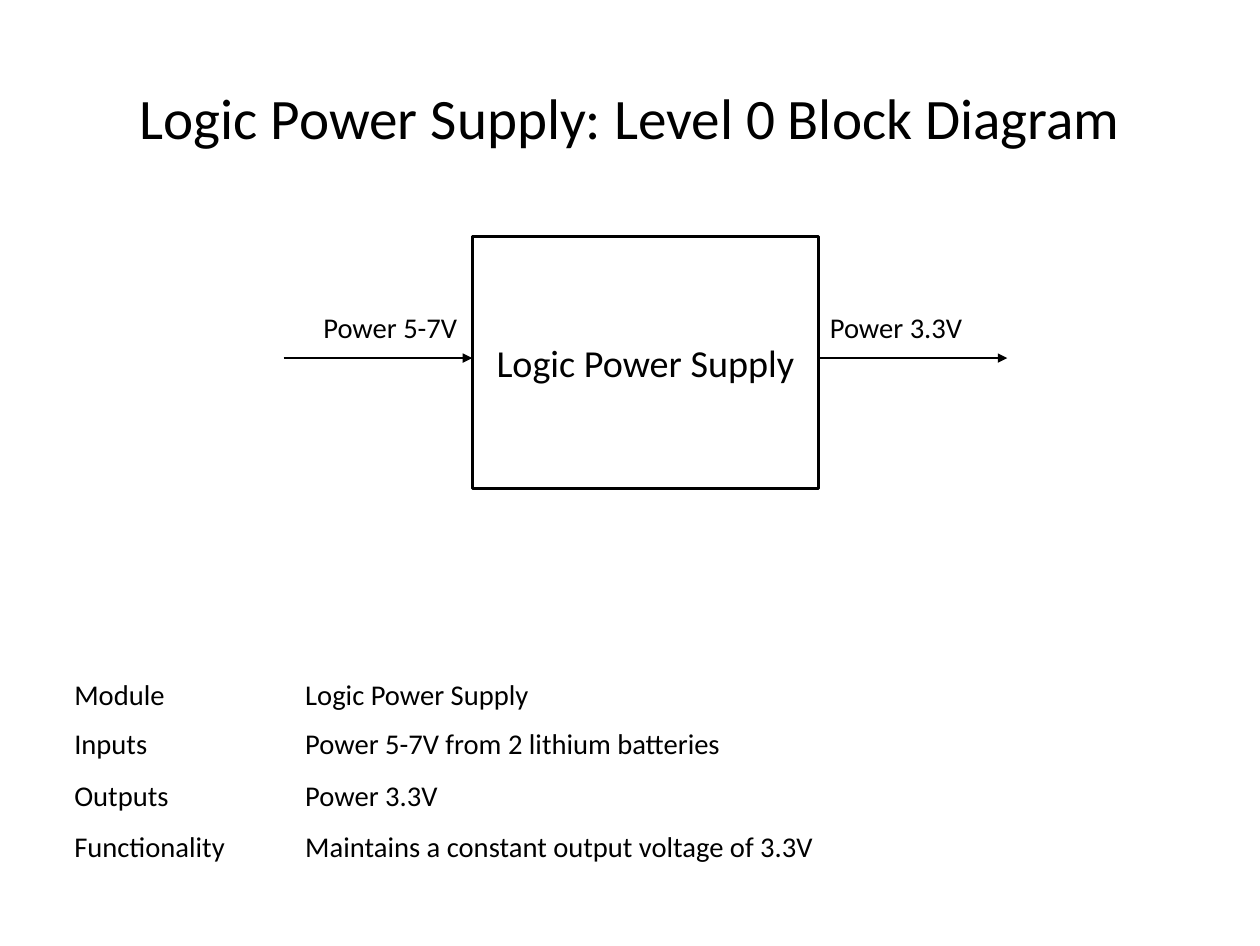
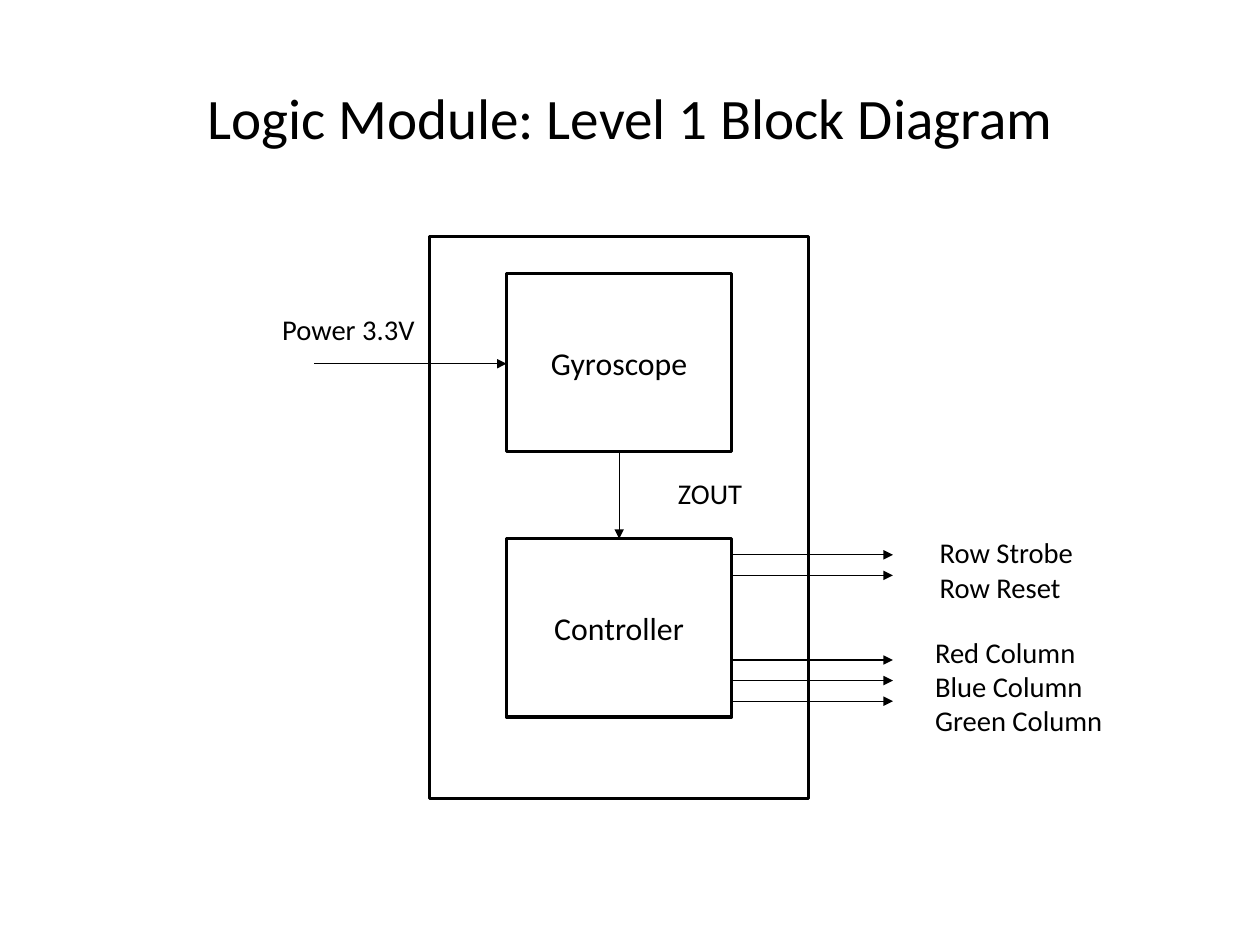
from dataclasses import dataclass

from lxml import etree
from pptx import Presentation
from pptx.dml.color import RGBColor
from pptx.enum.shapes import MSO_CONNECTOR, MSO_SHAPE
from pptx.enum.text import MSO_ANCHOR, MSO_AUTO_SIZE, PP_ALIGN
from pptx.oxml.ns import qn
from pptx.util import Inches, Pt


@dataclass(frozen=True)
class Theme:
    font: str = "Calibri"
    ink: RGBColor = RGBColor(0, 0, 0)
    paper: RGBColor = RGBColor(255, 255, 255)
    title: int = 36
    main_box: int = 24
    inner_box: int = 20
    body: int = 18
    box_line: float = 2
    arrow_line: float = 0.75


THEME = Theme()
SLIDE_W, SLIDE_H = 11.02, 8.27
MARGIN = 0.55


def write(tf, lines, size, align=PP_ALIGN.LEFT):
    """Fill a text frame with one paragraph per line."""
    for i, line in enumerate(lines):
        p = tf.paragraphs[0] if i == 0 else tf.add_paragraph()
        p.text = line
        p.alignment = align
        p.font.name = THEME.font
        p.font.size = Pt(size)
        p.font.color.rgb = THEME.ink


def add_titled_slide(prs, title, margin=MARGIN):
    s = prs.slides.add_slide(prs.slide_layouts[5])
    sp = s.shapes.title
    sp.left, sp.top = Inches(margin), Inches(0.33)
    sp.width, sp.height = Inches(SLIDE_W - 2 * margin), Inches(1.38)
    tf = sp.text_frame
    tf.auto_size = MSO_AUTO_SIZE.NONE
    tf.vertical_anchor = MSO_ANCHOR.MIDDLE
    write(tf, [title], THEME.title, PP_ALIGN.CENTER)
    return s


def add_box(s, x, y, w, h, text=None, size=THEME.inner_box):
    sp = s.shapes.add_shape(MSO_SHAPE.RECTANGLE, Inches(x), Inches(y), Inches(w), Inches(h))
    sp.shadow.inherit = False
    sp.fill.solid()
    sp.fill.fore_color.rgb = THEME.paper
    sp.line.color.rgb = THEME.ink
    sp.line.width = Pt(THEME.box_line)
    if text:
        sp.text_frame.vertical_anchor = MSO_ANCHOR.MIDDLE
        write(sp.text_frame, [text], size, PP_ALIGN.CENTER)


def add_arrow(s, x1, y1, x2, y2):
    arrow = s.shapes.add_connector(
        MSO_CONNECTOR.STRAIGHT, Inches(x1), Inches(y1), Inches(x2), Inches(y2))
    arrow.line.color.rgb = THEME.ink
    arrow.line.width = Pt(THEME.arrow_line)
    sp_pr = arrow.element.spPr
    etree.SubElement(sp_pr.find(qn("a:ln")), qn("a:tailEnd"), type="triangle")
    etree.SubElement(sp_pr, qn("a:effectLst"))


def add_label(s, x, y, w, h, *lines, wrap=True):
    tf = s.shapes.add_textbox(Inches(x), Inches(y), Inches(w), Inches(h)).text_frame
    tf.word_wrap = wrap
    tf.auto_size = MSO_AUTO_SIZE.SHAPE_TO_FIT_TEXT
    write(tf, lines, THEME.body)


def add_module_table(s, x, y, widths, heights, rows):
    frame = s.shapes.add_table(len(rows), len(widths), Inches(x), Inches(y),
                               Inches(sum(widths)), Inches(sum(heights)))
    table = frame.table
    table.first_row = table.horz_banding = False
    for col, width in zip(table.columns, widths):
        col.width = Inches(width)
    for row, height, texts in zip(table.rows, heights, rows):
        row.height = Inches(height)
        for cell, text in zip(row.cells, texts):
            cell.fill.background()
            write(cell.text_frame, [text], THEME.body)


def build_power_supply(prs):
    s = add_titled_slide(prs, "Logic Power Supply: Level 0 Block Diagram", margin=0)

    # Module description
    add_module_table(s, MARGIN, 5.88, [2.02, 7.9], [0.43, 0.45, 0.45, 0.45], [
        ("Module", "Logic Power Supply"),
        ("Inputs", "Power 5-7V from 2 lithium batteries"),
        ("Outputs", "Power 3.3V"),
        ("Functionality", "Maintains a constant output voltage of 3.3V"),
    ])

    # Module with its input and output
    left, width, reach, flow_y = 4.13, 3.03, 1.65, 3.13
    right = left + width
    add_box(s, left, 2.07, width, 2.2, "Logic Power Supply", THEME.main_box)
    add_arrow(s, left - reach, flow_y, left, flow_y)
    add_arrow(s, right, flow_y, right + reach, flow_y)
    add_label(s, 2.73, 2.66, 1.37, 0.4, "Power 5-7V", wrap=False)
    add_label(s, right, 2.66, 1.83, 0.4, "Power 3.3V")


def build_logic_module(prs):
    s = add_titled_slide(prs, "Logic Module: Level 1 Block Diagram")

    # Module outline and the two boxes inside it
    left, width, height = 4.43, 1.97, 1.56
    gyro_y, control_y = 2.39, 4.71
    add_box(s, 3.76, 2.07, 3.31, 4.91)
    add_box(s, left, gyro_y, width, height, "Gyroscope")
    add_box(s, left, control_y, width, height, "Controller")

    # Power input and the link between the boxes
    input_y = 3.18
    mid_x = left + width / 2
    add_arrow(s, 2.75, input_y, left, input_y)
    add_label(s, 2.37, 2.68, 1.36, 0.4, "Power 3.3V", wrap=False)
    add_arrow(s, mid_x, gyro_y + height, mid_x, control_y)
    add_label(s, 5.83, 4.11, 0.88, 0.4, "ZOUT")

    # Output groups: first arrow, label position and size, signals
    outputs = [
        (4.85, (8.12, 4.63, 1.65, 0.7), ("Row Strobe", "Row Reset")),
        (5.77, (8.08, 5.5, 1.93, 1), ("Red Column", "Blue Column", "Green Column")),
    ]
    for first_y, label_at, signals in outputs:
        for i in range(len(signals)):
            y = first_y + 0.18 * i
            add_arrow(s, left + width, y, 7.81, y)
        add_label(s, *label_at, *signals)


def main():
    prs = Presentation()
    prs.slide_width, prs.slide_height = Inches(SLIDE_W), Inches(SLIDE_H)
    build_power_supply(prs)
    build_logic_module(prs)
    prs.save("out.pptx")


if __name__ == "__main__":
    main()
